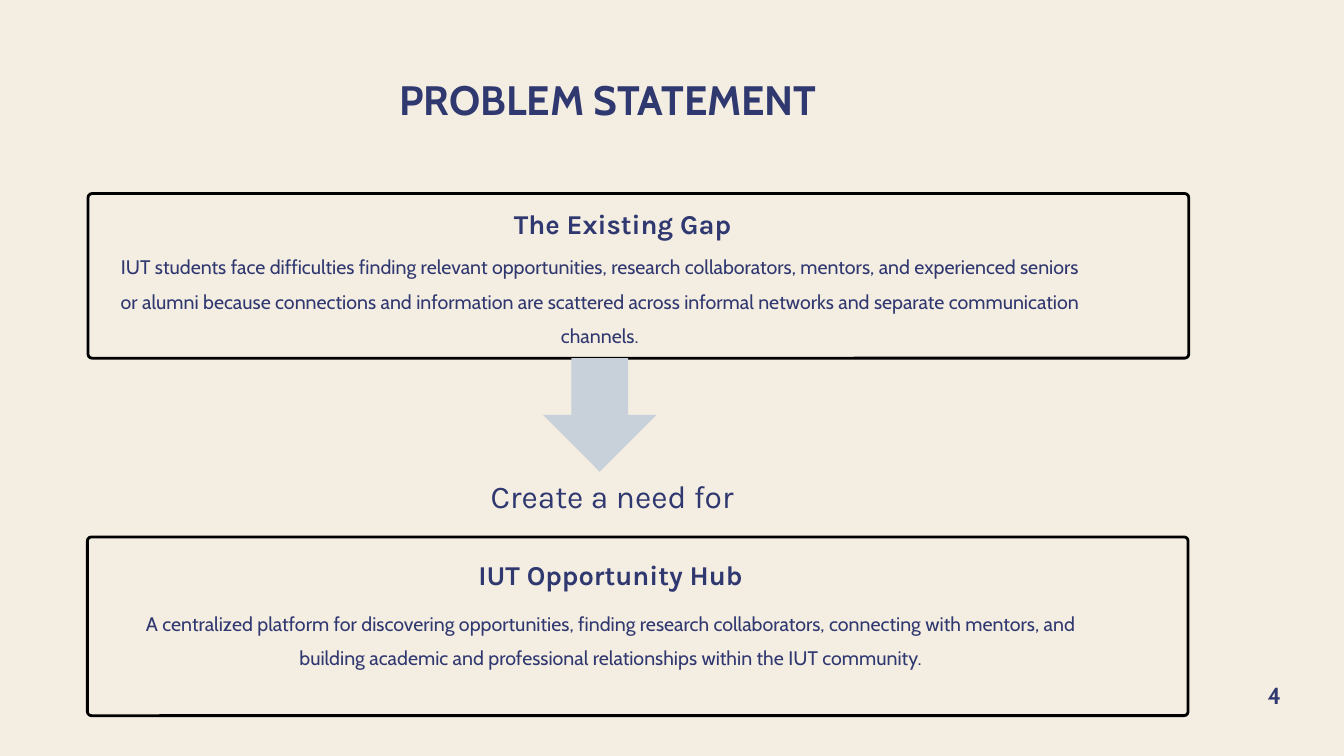
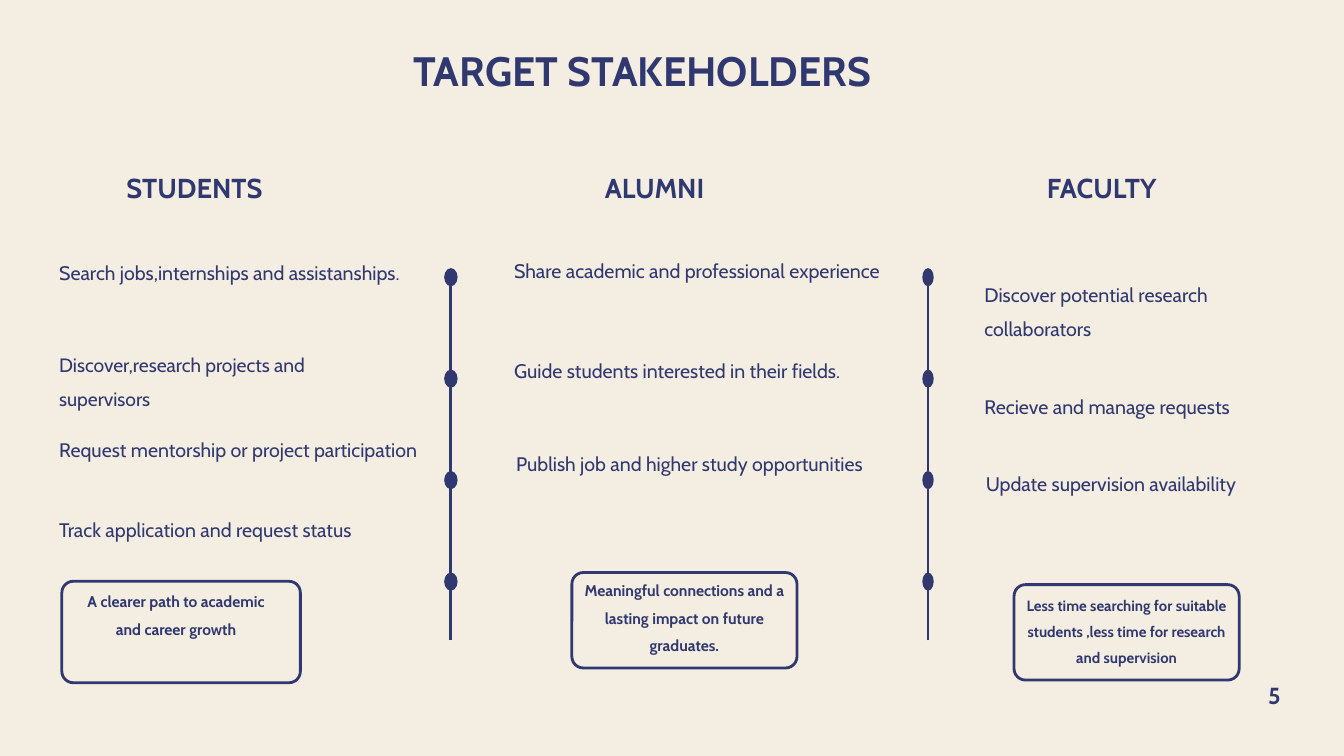
from pptx import Presentation
from pptx.dml.color import RGBColor as RGB
from pptx.enum.shapes import MSO_CONNECTOR as LINK, MSO_SHAPE as SHAPE
from pptx.enum.text import MSO_ANCHOR as ANCHOR, MSO_AUTO_SIZE as FIT, PP_ALIGN as ALIGN
from pptx.oxml.ns import qn
from pptx.util import Inches, Pt
from lxml.etree import SubElement

COLORS = {"paper": "F4EDE2", "navy": "303870", "black": "000000", "arrow": "C8D1D9"}

STYLES = {
    "title": {"name": "Cabin", "size": 44, "bold": True, "lead": 50.2},
    "page": {"name": "Cabin", "size": 24.9, "bold": True, "lead": 34.9},
    "head": {"name": "Karla", "size": 29.2, "bold": True, "lead": 40.9},
    "link": {"name": "Karla", "size": 34, "bold": False, "lead": 47.6},
    "group": {"name": "Cabin", "size": 29.3, "bold": True, "lead": 41},
    "body": {"name": "Cabin", "size": 21, "bold": False, "lead": 37},
    "tight": {"name": "Cabin", "size": 20.7, "bold": False, "lead": 36.5},
    "gain": {"name": "Cabin", "size": 16.7, "bold": True, "lead": 29.4},
    "small": {"name": "Cabin", "size": 16, "bold": True, "lead": 28.1},
}


def color(key):
    return RGB.from_string(COLORS[key])


def place(*nums):
    return [Inches(num) for num in nums]


class Deck:
    def __init__(self):
        self.file = Presentation()
        self.file.slide_width, self.file.slide_height = place(20, 11.25)
        fill = self.file.slide_master.background.fill
        fill.solid()
        fill.fore_color.rgb = color("paper")
        self.slide = None

    def page(self, title, area, number, align=ALIGN.LEFT):
        self.slide = self.file.slides.add_slide(self.file.slide_layouts[5])
        head = self.slide.shapes.title
        head.left, head.top, head.width, head.height = place(*area)
        self.letter(head, title, "title", align)
        self.text(number, (18.88, 10.07, 0.17, 0.22), "page", ALIGN.CENTER, False)

    def letter(self, shape, words, style, align, wrap=True):
        frame = shape.text_frame
        setup = {"word_wrap": wrap, "auto_size": FIT.NONE, "vertical_anchor": ANCHOR.TOP,
                 "margin_left": 0, "margin_top": 0, "margin_right": 0, "margin_bottom": 0}
        for key, value in setup.items():
            setattr(frame, key, value)
        para = frame.paragraphs[0]
        para.alignment = align
        run = para.add_run()
        run.text = words
        look = dict(STYLES[style])
        para.line_spacing = Pt(look.pop("lead"))
        look["size"] = Pt(look["size"])
        for key, value in look.items():
            setattr(run.font, key, value)
        run.font.color.rgb = color("navy")

    def text(self, words, area, style="body", align=ALIGN.LEFT, wrap=True):
        box = self.slide.shapes.add_textbox(*place(*area))
        self.letter(box, words, style, align, wrap)

    def solid(self, kind, area, tint):
        shape = self.slide.shapes.add_shape(kind, *place(*area))
        shape.shadow.inherit = False
        shape.fill.solid()
        shape.fill.fore_color.rgb = color(tint)
        shape.line.fill.background()

    def frame(self, area, tint, curve):
        shape = self.slide.shapes.add_shape(SHAPE.ROUNDED_RECTANGLE, *place(*area))
        shape.shadow.inherit = False
        shape.adjustments[0] = curve / area[3]
        shape.fill.background()
        shape.line.color.rgb = color(tint)
        shape.line.width = Pt(3)

    def line(self, x, top, end):
        link = self.slide.shapes.add_connector(LINK.STRAIGHT, *place(x, end, x, top))
        link.line.color.rgb = color("navy")
        link.line.width = Pt(3)
        SubElement(link._element.spPr, qn("a:effectLst"))

    def rail(self, x, width):
        self.line(x, 4.13, 9.53)
        for row in range(4):
            self.solid(SHAPE.OVAL, (x - width / 2, 3.99 + 1.51 * row, width, 0.27), "navy")

    def group(self, name, left, items, gain):
        self.text(name, (left, 2.46, 2.36, 0.53), "group")
        for words, x, y, width, style in items:
            self.text(words, (x, y, width, 0.97), style)
        words, box, area, style = gain
        self.frame(box, "navy", 0.17)
        self.text(words, area, style, ALIGN.CENTER)


def problem(deck):
    deck.page("PROBLEM STATEMENT", (5.94, 1.15, 12.3, 0.7), "4")
    for area in ((1.31, 2.88, 16.38, 2.45), (1.3, 7.99, 16.38, 2.66)):
        deck.frame(area, "black", 0.06)
    deck.solid(SHAPE.DOWN_ARROW, (8.08, 5.33, 1.69, 1.69), "arrow")
    for words, area, style in (
        ("The Existing Gap", (2.58, 3.01, 13.37, 1.1), "head"),
        ("IUT students face difficulties finding relevant opportunities, research "
         "collaborators, mentors, and experienced seniors or alumni because connections "
         "and information are scattered across informal networks and separate "
         "communication channels.", (1.74, 3.63, 14.37, 1.99), "body"),
        ("Create a need for", (7.08, 7, 4.06, 0.63), "link"),
        ("IUT Opportunity Hub", (6.16, 8.23, 5.85, 1.1), "head"),
        ("A centralized platform for discovering opportunities, finding research "
         "collaborators, connecting with mentors, and building academic and professional "
         "relationships within the IUT community.", (2.06, 8.94, 14.05, 0.97), "body"),
    ):
        deck.text(words, area, style, ALIGN.CENTER)


def people(deck):
    deck.page("TARGET STAKEHOLDERS", (2.72, 0.71, 13.68, 0.7), "5", ALIGN.CENTER)
    deck.rail(6.71, 0.2)
    deck.rail(13.81, 0.17)
    deck.group("STUDENTS", 1.88, (
        ("Search jobs,internships and assistanships.", 0.88, 3.72, 5.73, "body"),
        ("Discover,research projects and supervisors", 0.88, 5.1, 4.74, "tight"),
        ("Request mentorship or project participation", 0.88, 6.35, 6, "body"),
        ("Track application and request status", 0.88, 7.54, 6, "body"),
    ), ("A clearer path to academic and career growth",
        (0.92, 8.65, 3.55, 1.51), (1.12, 8.68, 3, 1.19), "gain"))
    deck.group("ALUMNI", 9, (
        ("Share academic and professional experience", 7.65, 3.69, 5.73, "body"),
        ("Guide students interested in their fields.", 7.65, 5.18, 5.73, "body"),
        ("Publish job and higher study opportunities", 7.68, 6.56, 5.73, "body"),
    ), ("Meaningful connections and a lasting impact on future graduates.",
        (8.51, 8.52, 3.35, 1.42), (8.67, 8.52, 3.03, 1.19), "gain"))
    deck.group("FACULTY", 15.58, (
        ("Discover potential research collaborators", 14.65, 4.04, 4.23, "body"),
        ("Recieve and manage requests", 14.65, 5.72, 4.23, "body"),
        ("Update supervision availability", 14.67, 6.86, 4.23, "body"),
    ), ("Less time searching for suitable students ,less time for research and supervision",
        (15.09, 8.7, 3.35, 1.42), (15.13, 8.75, 3.27, 1.13), "small"))


def main():
    deck = Deck()
    problem(deck)
    people(deck)
    deck.file.save("out.pptx")


if __name__ == "__main__":
    main()
